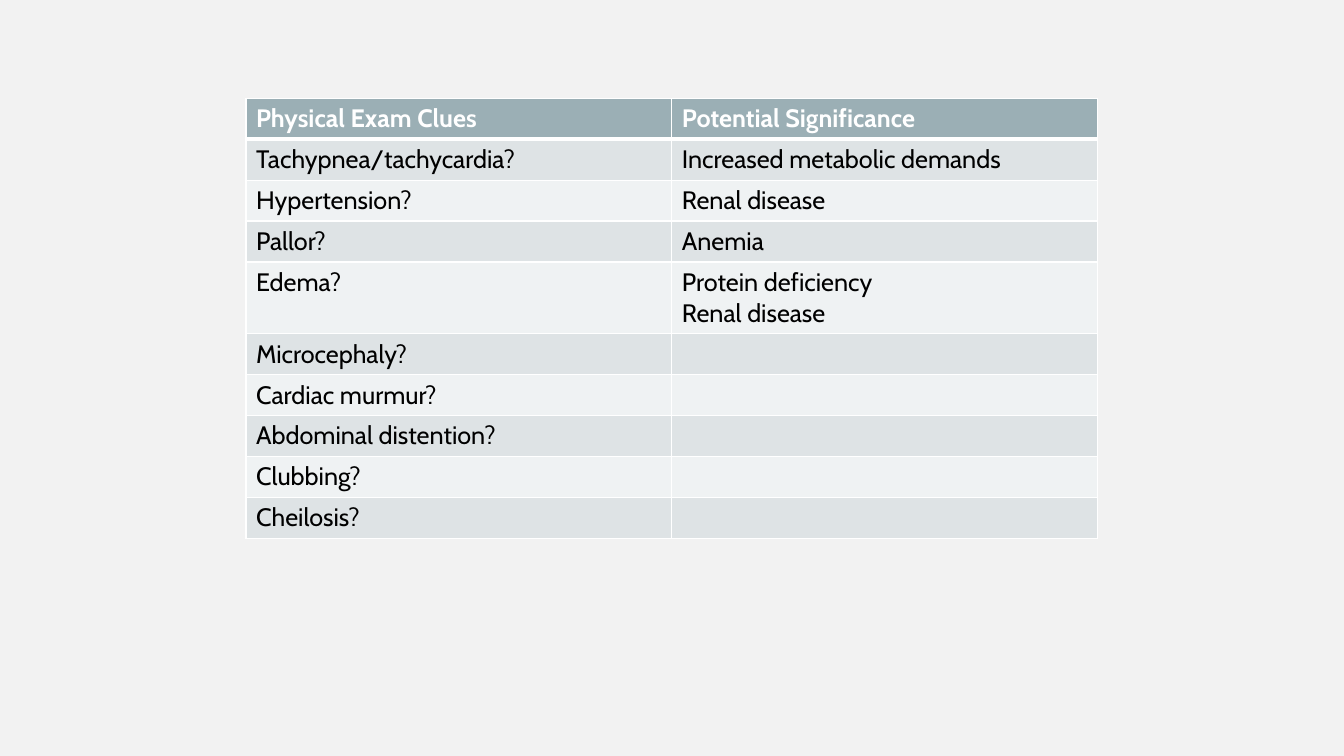
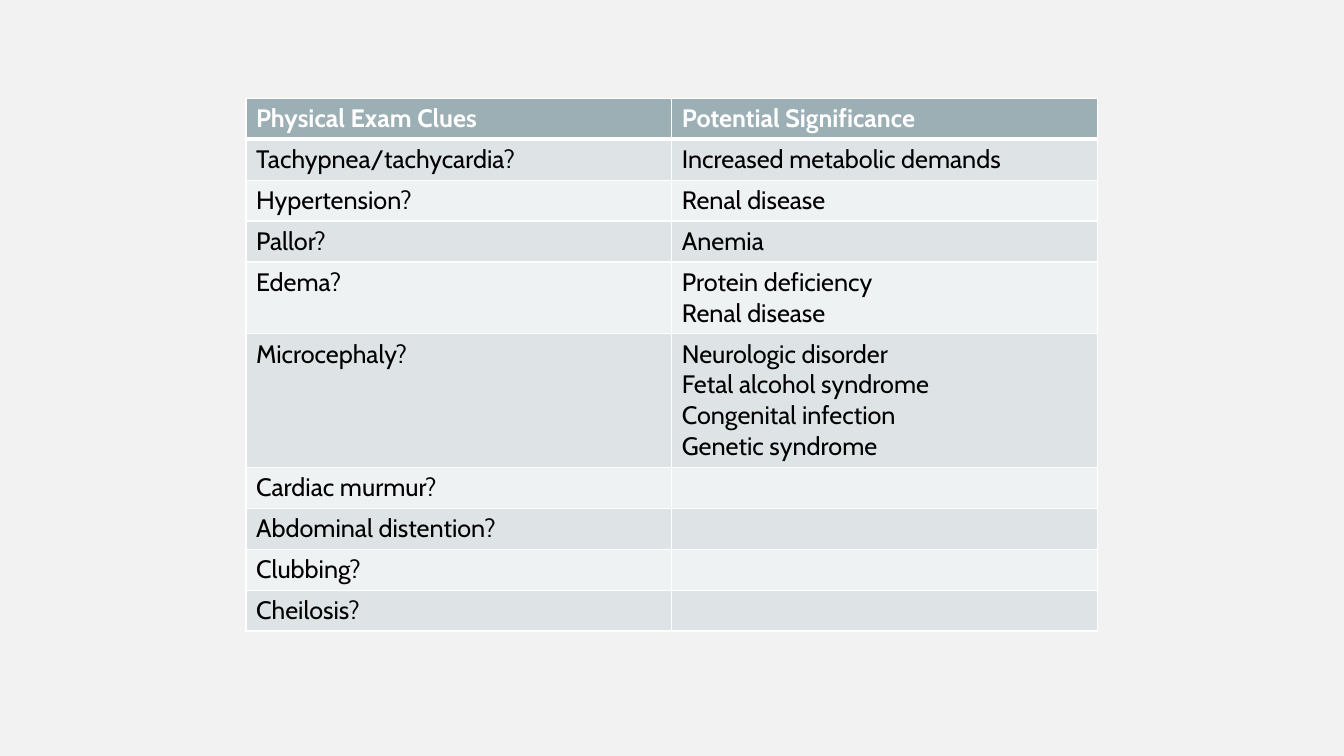
from lxml import etree
from pptx import Presentation
from pptx.dml.color import RGBColor
from pptx.oxml.ns import qn
from pptx.util import Cm, Pt

BACKGROUND = RGBColor(0xF2, 0xF2, 0xF2)
HEADER = RGBColor(0x9B, 0xAF, 0xB5)
BAND_DARK = RGBColor(0xDE, 0xE3, 0xE5)
BAND_LIGHT = RGBColor(0xEF, 0xF2, 0xF3)
WHITE = RGBColor(0xFF, 0xFF, 0xFF)
BLACK = RGBColor(0x00, 0x00, 0x00)

HEADER_FONT = {"name": "Cabin", "size": Pt(18), "bold": True}
BODY_FONT = {"name": "Cabin", "size": Pt(18), "bold": False}

# Table measures, in centimetres
LEFT, TOP, COLUMN_WIDTH = 6.2, 2.48, 10.73
ROW_HEIGHT, EXTRA_LINE = 1.03, 0.78

# Each clue with its possible causes
HEADINGS = ("Physical Exam Clues", ["Potential Significance"])
CLUES = {
    "Tachypnea/tachycardia?": ["Increased metabolic demands"],
    "Hypertension?": ["Renal disease"],
    "Pallor?": ["Anemia"],
    "Edema?": ["Protein deficiency", "Renal disease"],
    "Microcephaly?": [],
    "Cardiac murmur?": [],
    "Abdominal distention?": [],
    "Clubbing?": [],
    "Cheilosis?": [],
}
MICROCEPHALY_CAUSES = [
    "Neurologic disorder",
    "Fetal alcohol syndrome",
    "Congenital infection",
    "Genetic syndrome",
]
STEPS = [CLUES, {**CLUES, "Microcephaly?": MICROCEPHALY_CAUSES}]


def add_borders(cell, widths):
    """Draw white cell borders; widths maps each side to points."""
    properties = cell._tc.get_or_add_tcPr()
    for side, width in widths.items():
        line = etree.SubElement(properties, qn(f"a:ln{side}"), w=str(Pt(width)))
        fill = etree.SubElement(line, qn("a:solidFill"))
        etree.SubElement(fill, qn("a:srgbClr"), val=str(WHITE))


def fill_cell(cell, lines, font, color):
    """Write one paragraph per line of text."""
    frame = cell.text_frame
    for number, text in enumerate(lines):
        paragraph = frame.add_paragraph() if number else frame.paragraphs[0]
        run = paragraph.add_run()
        run.text = text
        for attribute, value in font.items():
            setattr(run.font, attribute, value)
        run.font.color.rgb = color


prs = Presentation()
prs.slide_width, prs.slide_height = Cm(33.87), Cm(19.05)
blank = prs.slide_layouts[6]

# One slide per step of the discussion
for clues in STEPS:
    slide = prs.slides.add_slide(blank)
    slide.background.fill.solid()
    slide.background.fill.fore_color.rgb = BACKGROUND

    rows = [HEADINGS, *clues.items()]
    heights = [ROW_HEIGHT + EXTRA_LINE * max(len(causes) - 1, 0) for _, causes in rows]
    table = slide.shapes.add_table(
        len(rows), 2, Cm(LEFT), Cm(TOP), Cm(2 * COLUMN_WIDTH), Cm(sum(heights))
    ).table
    for column in table.columns:
        column.width = Cm(COLUMN_WIDTH)

    # Header row, then alternating bands
    for index, (clue, causes) in enumerate(rows):
        table.rows[index].height = Cm(heights[index])
        if index == 0:
            band, font, color = HEADER, HEADER_FONT, WHITE
        else:
            band = BAND_DARK if index % 2 else BAND_LIGHT
            font, color = BODY_FONT, BLACK
        borders = {"L": 1, "R": 1, "T": 3 if index == 1 else 1, "B": 3 if index == 0 else 1}

        for cell, lines in zip(table.rows[index].cells, ([clue], causes)):
            add_borders(cell, borders)
            cell.fill.solid()
            cell.fill.fore_color.rgb = band
            fill_cell(cell, lines, font, color)

prs.save("out.pptx")
